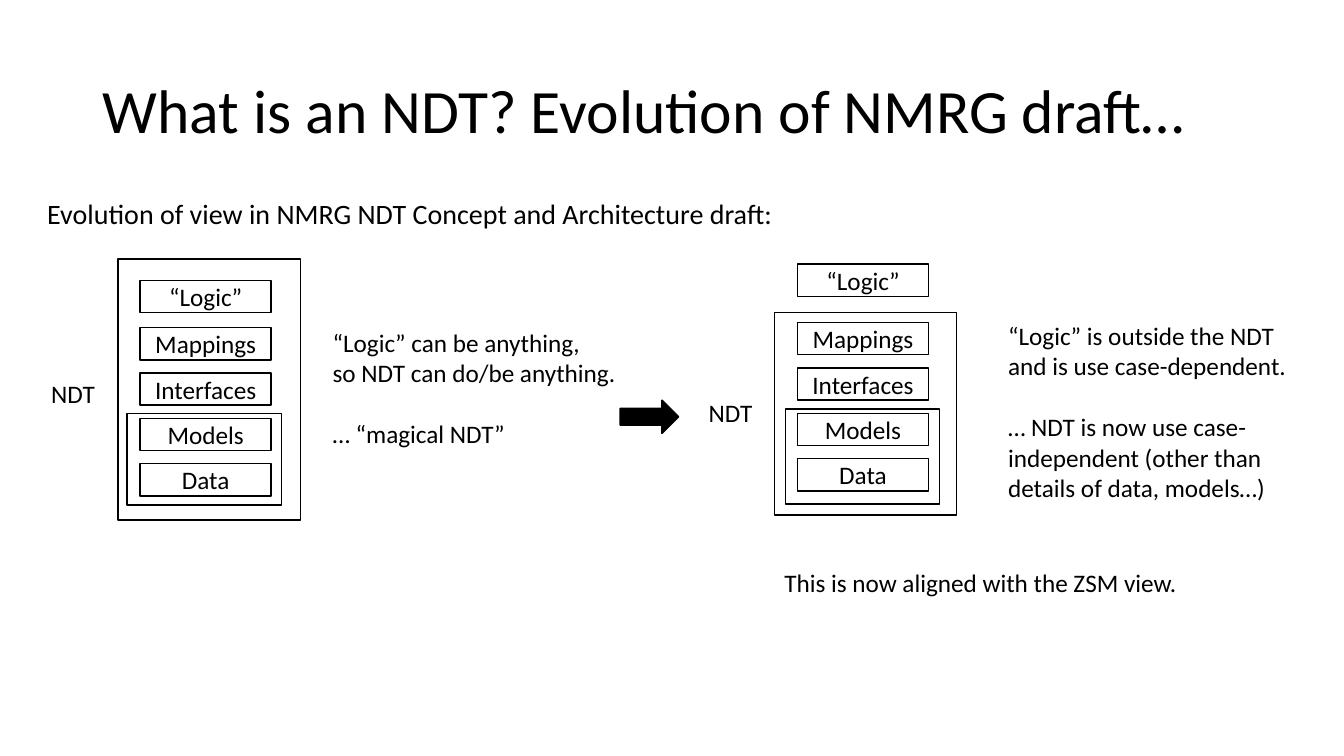
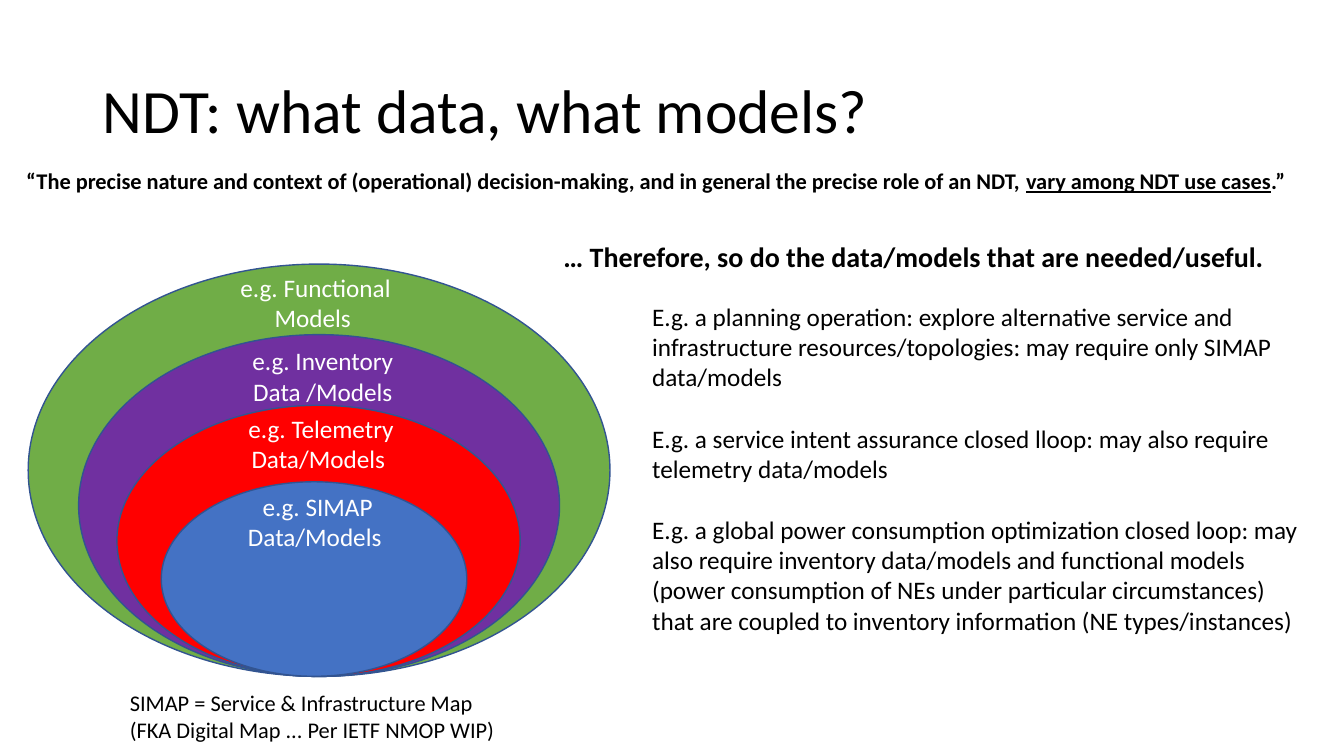
"""Builds two slides on the scope, data and models of a network digital twin (NDT)."""
from pptx import Presentation
from pptx import util as u
from pptx.dml.color import RGBColor
from pptx.enum import shapes, text

COLORS = {"ink": "000000", "paper": "FFFFFF", "outline": "325491", "functional": "70AD47",
          "inventory": "7030A0", "telemetry": "FF0000", "simap": "4472C4"}
FONT = "Calibri"
BLANK_LINE = 22
TITLE_BOX = (0.92, 0.4, 11.5, 1.45)

EVOLUTION_TITLE = "What is an NDT? Evolution of NMRG draft…"
EVOLUTION_INTRO = "Evolution of view in NMRG NDT Concept and Architecture draft:"
LAYERS = ["Mappings", "Interfaces", "Models", "Data"]
LAYER_SIZE = (1.3, 0.32)
LAYER_PITCH = 0.45
VIEWS = [
    {"left": 1.39, "logic_top": 2.78, "layers_top": 3.25, "label": (0.41, 3.7, 0.7, 0.4),
     "frames": [(1.17, 2.57, 1.81, 2.59), (1.26, 4.1, 1.53, 0.91)],
     "note_box": (3.2, 3.2, 3.21, 1.31),
     "note": ["“Logic” can be anything,", "so NDT can do/be anything.", "… “magical NDT”"]},
    {"left": 7.91, "logic_top": 2.62, "layers_top": 3.2, "label": (6.93, 3.89, 0.7, 0.4),
     "frames": [(7.68, 3.1, 1.81, 2.01), (7.79, 4.06, 1.53, 0.94)],
     "note_box": (9.9, 3.13, 3.21, 1.92),
     "note": ["“Logic” is outside the NDT and is use case-dependent.",
              "… NDT is now use case-independent (other than details of data, models…)"]},
]
ARROW_BOX = (6.15, 3.97, 0.58, 0.33)
ALIGNMENT = "This is now aligned with the ZSM view."

MODELS_TITLE = "NDT: what data, what models?"
QUOTE = [("“The precise nature and context of (operational) decision-making, and in general "
          "the precise role of an NDT, ", {}),
         ("vary among NDT use cases", {"underline": True}), (".”", {})]
CONSEQUENCE = "… Therefore, so do the data/models that are needed/useful."
ABBREVIATION = ["SIMAP = Service & Infrastructure Map", "(FKA Digital Map ... Per IETF NMOP WIP)"]
EXAMPLES = [
    "E.g. a planning operation: explore alternative service and infrastructure "
    "resources/topologies: may require only SIMAP data/models",
    "E.g. a service intent assurance closed lloop: may also require telemetry data/models",
    "E.g. a global power consumption optimization closed loop: may also require inventory "
    "data/models and functional models (power consumption of NEs under particular "
    "circumstances) that are coupled to inventory information (NE types/instances)",
]
SETS_BOTTOM = 6.71
SETS = [
    ("functional", 0.28, 2.62, 5.77, (2.12, 2.65, 2.02, 0.71), ["e.g. Functional Models "]),
    ("inventory", 0.78, 3.32, 4.77, (1.82, 3.38, 2.82, 0.71), ["e.g. Inventory ", "Data /Models "]),
    ("telemetry", 1.16, 4.02, 4, (2.16, 4.05, 2.05, 0.71), ["e.g. Telemetry Data/Models "]),
    ("simap", 1.6, 4.78, 3.03, (2.26, 4.82, 1.78, 0.71), ["e.g. SIMAP", "Data/Models "]),
]


def color(name):
    return RGBColor.from_string(COLORS[name])


def inches(box):
    return [u.Inches(length) for length in box]


def write(frame, paragraphs, ink="ink", para=None, gaps=(), anchor=None, **font):
    """Fills a frame; gaps lists the paragraphs that follow an empty line."""
    frame.word_wrap = True
    if anchor is not None:
        frame.vertical_anchor = anchor
    for index, content in enumerate(paragraphs):
        paragraph = frame.paragraphs[0] if index == 0 else frame.add_paragraph()
        for key, value in (para or {}).items():
            setattr(paragraph, key, value)
        if index in gaps:
            paragraph.space_before = u.Pt(BLANK_LINE)
        runs = [(content, {})] if isinstance(content, str) else content
        for words, extra in runs:
            run = paragraph.add_run()
            run.text = words
            run.font.color.rgb = color(ink)
            for key, value in {"name": FONT, "size": u.Pt(18), **font, **extra}.items():
                setattr(run.font, key, value)


def add_text(parent, box, paragraphs, **style):
    write(parent.add_textbox(*inches(box)).text_frame, paragraphs, **style)


def add_figure(parent, kind, box, fill=None, line="ink"):
    figure = parent.add_shape(kind, *inches(box))
    figure.shadow.inherit = False
    if fill:
        figure.fill.solid()
        figure.fill.fore_color.rgb = color(fill)
    else:
        figure.fill.background()
    figure.line.color.rgb = color(line)
    figure.line.width = u.Pt(1)
    return figure


def add_titled_slide(deck, title):
    slide = deck.slides.add_slide(deck.slide_layouts[5])
    holder = slide.shapes.title
    for side, length in zip(("left", "top", "width", "height"), inches(TITLE_BOX)):
        setattr(holder, side, length)
    write(holder.text_frame, [title], size=u.Pt(44), anchor=text.MSO_ANCHOR.MIDDLE,
          para={"alignment": text.PP_ALIGN.LEFT, "line_spacing": 0.9})
    return slide.shapes


def add_view(parent, view):
    tops = [view["logic_top"]] + [view["layers_top"] + i * LAYER_PITCH for i in range(len(LAYERS))]
    for layer, top in zip(["“Logic”"] + LAYERS, tops):
        block = add_figure(parent, shapes.MSO_SHAPE.RECTANGLE,
                           (view["left"], top, *LAYER_SIZE), "paper")
        write(block.text_frame, [layer], anchor=text.MSO_ANCHOR.MIDDLE,
              para={"alignment": text.PP_ALIGN.CENTER})
    for frame in view["frames"]:
        add_figure(parent, shapes.MSO_SHAPE.RECTANGLE, frame)
    add_text(parent, view["label"], ["NDT"])
    add_text(parent, view["note_box"], view["note"], gaps=[len(view["note"]) - 1])


def build_evolution(deck):
    parts = add_titled_slide(deck, EVOLUTION_TITLE)
    add_text(parts, (0.37, 1.85, 11.5, 0.58), [EVOLUTION_INTRO], size=u.Pt(20),
             anchor=text.MSO_ANCHOR.MIDDLE, para={"line_spacing": 0.9})
    for view in VIEWS:
        add_view(parts, view)
    add_figure(parts, shapes.MSO_SHAPE.RIGHT_ARROW, ARROW_BOX, "ink")
    add_text(parts, (7.68, 5.58, 4.29, 0.4), [ALIGNMENT])


def build_models(deck):
    parts = add_titled_slide(deck, MODELS_TITLE)
    nested = parts.add_group_shape().shapes
    for fill, left, top, width, _, _ in SETS:
        add_figure(nested, shapes.MSO_SHAPE.OVAL, (left, top, width, SETS_BOTTOM - top),
                   fill, "outline")
    for *_, label_box, label in SETS:
        add_text(nested, label_box, label, ink="paper",
                 para={"alignment": text.PP_ALIGN.CENTER})
    add_text(parts, (0.16, 1.61, 12.74, 0.37), [QUOTE], size=u.Pt(16), bold=True)
    add_text(parts, (5.49, 2.33, 7.16, 0.44), [CONSEQUENCE], size=u.Pt(20), bold=True)
    add_text(parts, (1.19, 6.79, 4, 0.64), ABBREVIATION, size=u.Pt(16))
    add_text(parts, (6.37, 2.94, 6.6, 3.43), EXAMPLES, gaps=(1, 2))


def main():
    deck = Presentation()
    deck.slide_width, deck.slide_height = inches((13.33, 7.5))
    build_evolution(deck)
    build_models(deck)
    deck.save("out.pptx")


if __name__ == "__main__":
    main()
